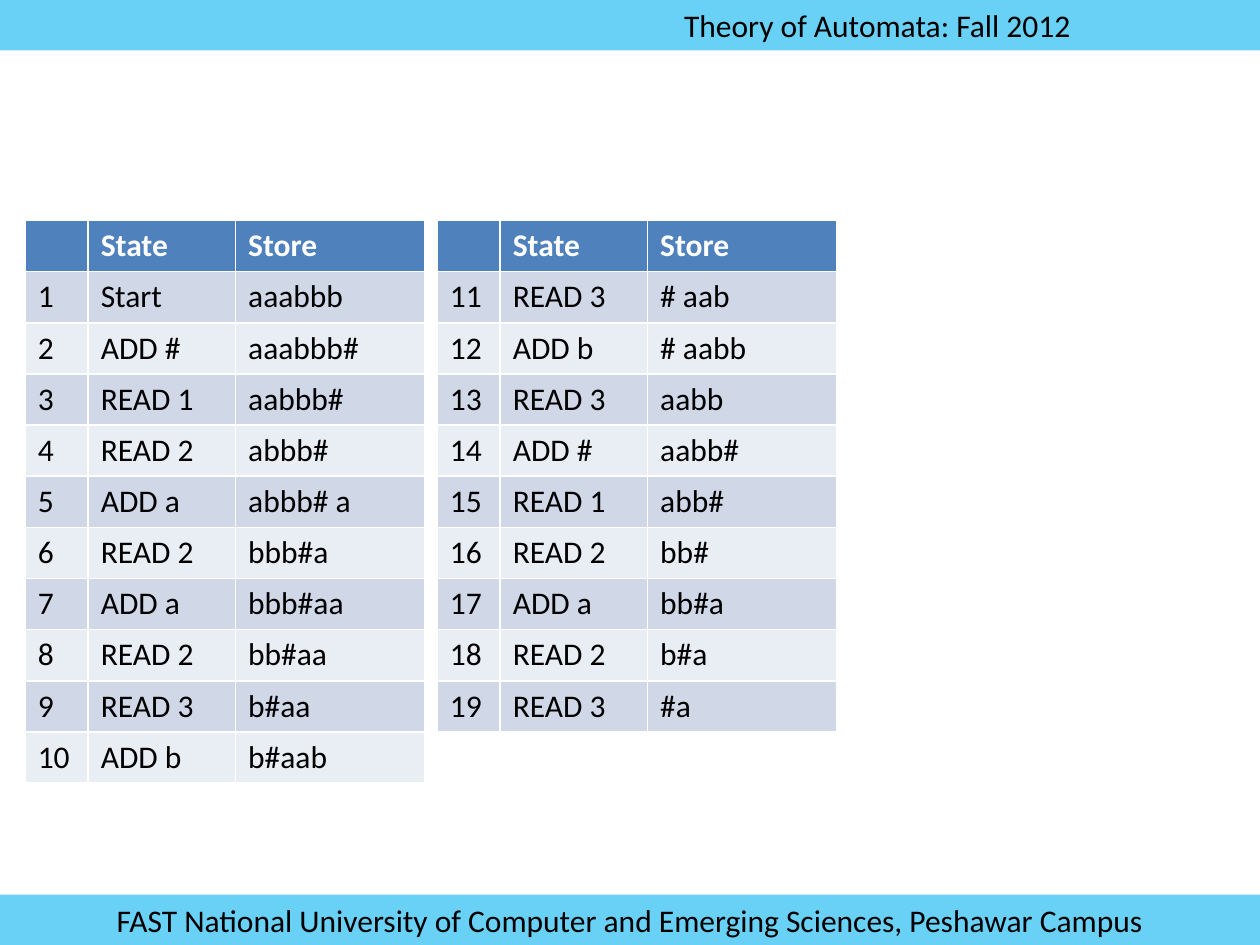
"""Builds the slide that traces a Post machine run in two state and store tables."""
from lxml import etree
from pptx import Presentation
from pptx import util as u
from pptx.dml.color import RGBColor
from pptx.enum import shapes, text
from pptx.oxml import ns

SKY = RGBColor(0x00, 0xB0, 0xF0)
BLUE = RGBColor(0x4F, 0x81, 0xBD)
BAND_DARK = RGBColor(0xD0, 0xD8, 0xE8)
BAND_LIGHT = RGBColor(0xE9, 0xED, 0xF4)
WHITE = RGBColor(0xFF, 0xFF, 0xFF)
BLACK = RGBColor(0x00, 0x00, 0x00)

TRACE = [
    ("Start", "aaabbb"), ("ADD #", "aaabbb#"), ("READ 1", "aabbb#"),
    ("READ 2", "abbb#"), ("ADD a", "abbb# a"), ("READ 2", "bbb#a"),
    ("ADD a", "bbb#aa"), ("READ 2", "bb#aa"), ("READ 3", "b#aa"),
    ("ADD b", "b#aab"), ("READ 3", "# aab"), ("ADD b", "# aabb"),
    ("READ 3", "aabb"), ("ADD #", "aabb#"), ("READ 1", "abb#"),
    ("READ 2", "bb#"), ("ADD a", "bb#a"), ("READ 2", "b#a"),
    ("READ 3", "#a"),
]
STEPS_PER_TABLE = 10


def write(frame, words, size=18, font="Calibri", color=BLACK, bold=False,
          align=text.PP_ALIGN.LEFT):
    para = frame.paragraphs[0]
    para.alignment = align
    span = para.add_run()
    span.text = words
    span.font.size = u.Pt(size)
    span.font.name = font
    span.font.bold = bold
    span.font.color.rgb = color


class SlideBuilder:
    COLUMNS, ROWS = 100, 75
    WIDTHS = (5, 11.7, 15)
    ROW_HEIGHT = 4.06

    def __init__(self, deck):
        self.deck = deck
        self.slide = deck.slides.add_slide(deck.slide_layouts[6])

    def across(self, columns):
        return round(self.deck.slide_width * columns / self.COLUMNS)

    def down(self, rows):
        return round(self.deck.slide_height * rows / self.ROWS)

    def banner(self, top, words, indent=1, **style):
        box = self.slide.shapes.add_shape(
            shapes.MSO_SHAPE.RECTANGLE, 0, self.down(top),
            self.across(self.COLUMNS), self.down(4))
        box.shadow.inherit = False
        box.line.fill.background()
        box.fill.solid()
        box.fill.fore_color.rgb = SKY
        color = box.fill._xPr.find(".//" + ns.qn("a:srgbClr"))
        etree.SubElement(color, ns.qn("a:alpha"), val="59000")
        frame = box.text_frame
        frame.word_wrap = True
        frame.vertical_anchor = text.MSO_ANCHOR.MIDDLE
        frame.margin_left = self.across(indent)
        write(frame, words, **style)

    def table(self, left, top, rows):
        grid = self.slide.shapes.add_table(
            len(rows), len(self.WIDTHS), self.across(left), self.down(top),
            self.across(sum(self.WIDTHS)),
            self.down(self.ROW_HEIGHT * len(rows))).table
        for column, width in zip(grid.columns, self.WIDTHS):
            column.width = self.across(width)
        for index, row in enumerate(rows):
            header = index == 0
            band = BLUE if header else BAND_DARK if index % 2 else BAND_LIGHT
            for cell, words in zip(grid.rows[index].cells, row):
                cell.fill.solid()
                cell.fill.fore_color.rgb = band
                if words:
                    write(cell.text_frame, words, bold=header,
                          color=WHITE if header else BLACK)


def main():
    deck = Presentation()
    deck.slide_width, deck.slide_height = u.Inches(10), u.Inches(7.5)
    builder = SlideBuilder(deck)
    builder.banner(0, "Theory of Automata: Fall 2012", indent=54.3)
    builder.banner(
        71, "FAST National University of Computer and Emerging Sciences, Peshawar Campus",
        align=text.PP_ALIGN.CENTER)
    steps = [(str(number), *step) for number, step in enumerate(TRACE, 1)]
    stride = sum(builder.WIDTHS) + 1
    for index, start in enumerate(range(0, len(steps), STEPS_PER_TABLE)):
        part = steps[start:start + STEPS_PER_TABLE]
        builder.table(2 + index * stride, 17.5, [("", "State", "Store"), *part])
    deck.save("out.pptx")


if __name__ == "__main__":
    main()
